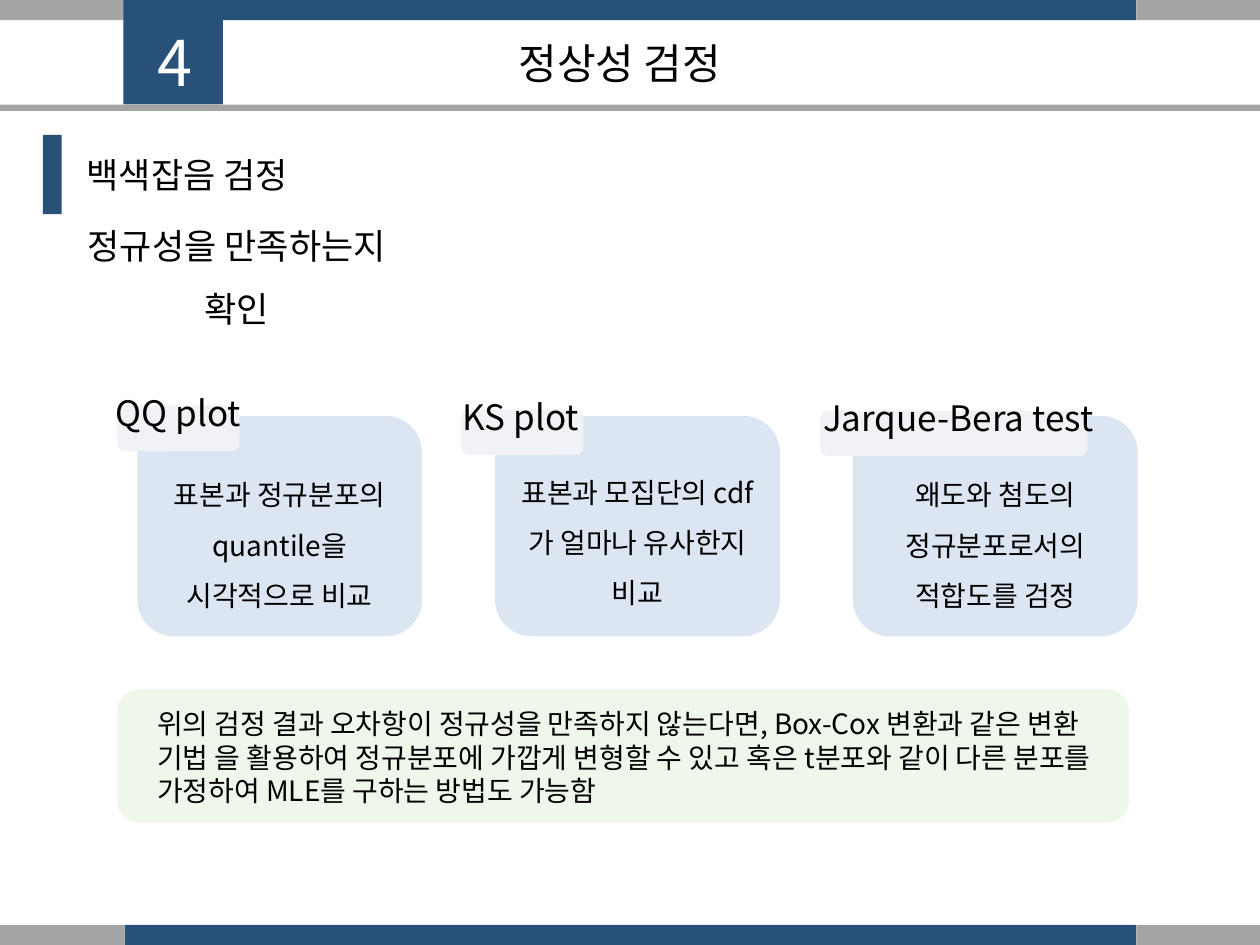
from lxml import etree
from pptx import Presentation
from pptx.dml.color import RGBColor
from pptx.enum import shapes, text
from pptx.oxml.ns import qn
from pptx import util as u

NAVY = RGBColor(0x28, 0x51, 0x7A)
GRAY = RGBColor(0xA5, 0xA5, 0xA5)
CARD_BLUE = RGBColor(0xDC, 0xE6, 0xF2)
TAB_GRAY = RGBColor(0xF0, 0xF2, 0xF6)
NOTE_GREEN = RGBColor(0xEE, 0xF7, 0xE9)
BLACK = RGBColor(0, 0, 0)
WHITE = RGBColor(255, 255, 255)
FONT = "Noto Sans CJK KR"
LEFT, CENTER = text.PP_ALIGN.LEFT, text.PP_ALIGN.CENTER
RECT, ROUND = shapes.MSO_SHAPE.RECTANGLE, shapes.MSO_SHAPE.ROUNDED_RECTANGLE

# Content
NUMBER = "4"
TITLE = "정상성 검정"
HEADING = "백색잡음 검정"
SUBHEADING = "정규성을 만족하는지 확인"
# label, (tab left, top, width), (label left, top, width), description, its top
TESTS = [
    ("QQ plot", (0.93, 3.22, 0.97), (0.63, 2.89, 1.57),
     "표본과 정규분포의 quantile을 시각적으로 비교", 3.61),
    ("KS plot", (3.66, 3.25, 0.97), (3.35, 2.92, 1.57),
     "표본과 모집단의 cdf가 얼마나 유사한지 비교", 3.59),
    ("Jarque-Bera test", (6.51, 3.26, 2.12), (6.33, 2.93, 2.55),
     "왜도와 첨도의 정규분포로서의 적합도를 검정", 3.61),
]
NOTE = ("위의 검정 결과 오차항이 정규성을 만족하지 않는다면, Box-Cox 변환과 같은 변환 기법 을 "
        "활용하여 정규분포에 가깝게 변형할 수 있고 혹은 t분포와 같이 다른 분포를 가정하여 "
        "MLE를 구하는 방법도 가능함")

# Grid
WIDTH, HEIGHT = 10, 7.5
BAND_H, BAND_LEFT, BAND_RIGHT = 0.16, 0.99, 9.02
CARD_LEFT, CARD_TOP, CARD_W, CARD_H, CARD_STEP = 1.09, 3.3, 2.26, 1.75, 2.84
TAB_H, LABEL_H = 0.36, 0.56
DESC_W, DESC_H = 2.12, 1.27

prs = Presentation()
prs.slide_width, prs.slide_height = u.Inches(WIDTH), u.Inches(HEIGHT)
slide = prs.slides.add_slide(prs.slide_layouts[6])


def add_block(left, top, width, height, color, kind=RECT):
    block = slide.shapes.add_shape(kind, *map(u.Inches, (left, top, width, height)))
    block.shadow.inherit = False
    block.fill.solid()
    block.fill.fore_color.rgb = color
    block.line.fill.background()


def add_words(left, top, width, height, words, size, align=LEFT, spacing=None,
              color=BLACK, anchor=text.MSO_ANCHOR.TOP):
    box = slide.shapes.add_textbox(*map(u.Inches, (left, top, width, height)))
    frame = box.text_frame
    frame.word_wrap = True
    frame.vertical_anchor = anchor
    paragraph = frame.paragraphs[0]
    paragraph.alignment = align
    if spacing:
        paragraph.line_spacing = spacing
    run = paragraph.add_run()
    run.text = words
    run.font.size = u.Pt(size)
    run.font.color.rgb = color
    run.font.name = FONT
    # East Asian typeface for the Hangul
    etree.SubElement(run.font._element, qn("a:ea")).set("typeface", FONT)


# Top and bottom bands
for band_top in (0, HEIGHT - BAND_H):
    add_block(BAND_LEFT, band_top, BAND_RIGHT - BAND_LEFT, BAND_H, NAVY)
    add_block(0, band_top, BAND_LEFT, BAND_H, GRAY)
    add_block(BAND_RIGHT, band_top, WIDTH - BAND_RIGHT, BAND_H, GRAY)

# Header: number, title, rule
add_block(0.98, 0, 0.79, 0.83, NAVY)
add_block(0, 0.83, WIDTH, 0.05, GRAY)
add_words(1.15, 0.14, 0.45, 0.62, NUMBER, 36, color=WHITE)
add_words(1.78, 0.14, 6.28, 0.72, TITLE, 24, CENTER, anchor=text.MSO_ANCHOR.MIDDLE)

# Section heading
add_block(0.34, 1.07, 0.15, 0.63, NAVY)
add_words(0.59, 1.17, 5.13, 0.44, HEADING, 20)
add_words(0.35, 1.57, 3.06, 0.56, SUBHEADING, 20, CENTER, 1.5)

# Test cards
for column, (label, tab, label_place, description, desc_top) in enumerate(TESTS):
    card_left = CARD_LEFT + column * CARD_STEP
    add_block(card_left, CARD_TOP, CARD_W, CARD_H, CARD_BLUE, ROUND)
    add_block(*tab, TAB_H, TAB_GRAY, ROUND)
    add_words(*label_place, LABEL_H, label, 20, CENTER, 1.5)
    add_words(card_left + (CARD_W - DESC_W) / 2, desc_top, DESC_W, DESC_H,
              description, 16, CENTER, 1.5)

# Closing note
add_block(0.93, 5.47, 8.03, 1.06, NOTE_GREEN, ROUND)
add_words(1.15, 5.56, 7.73, 0.91, NOTE, 16)

prs.save("out.pptx")
